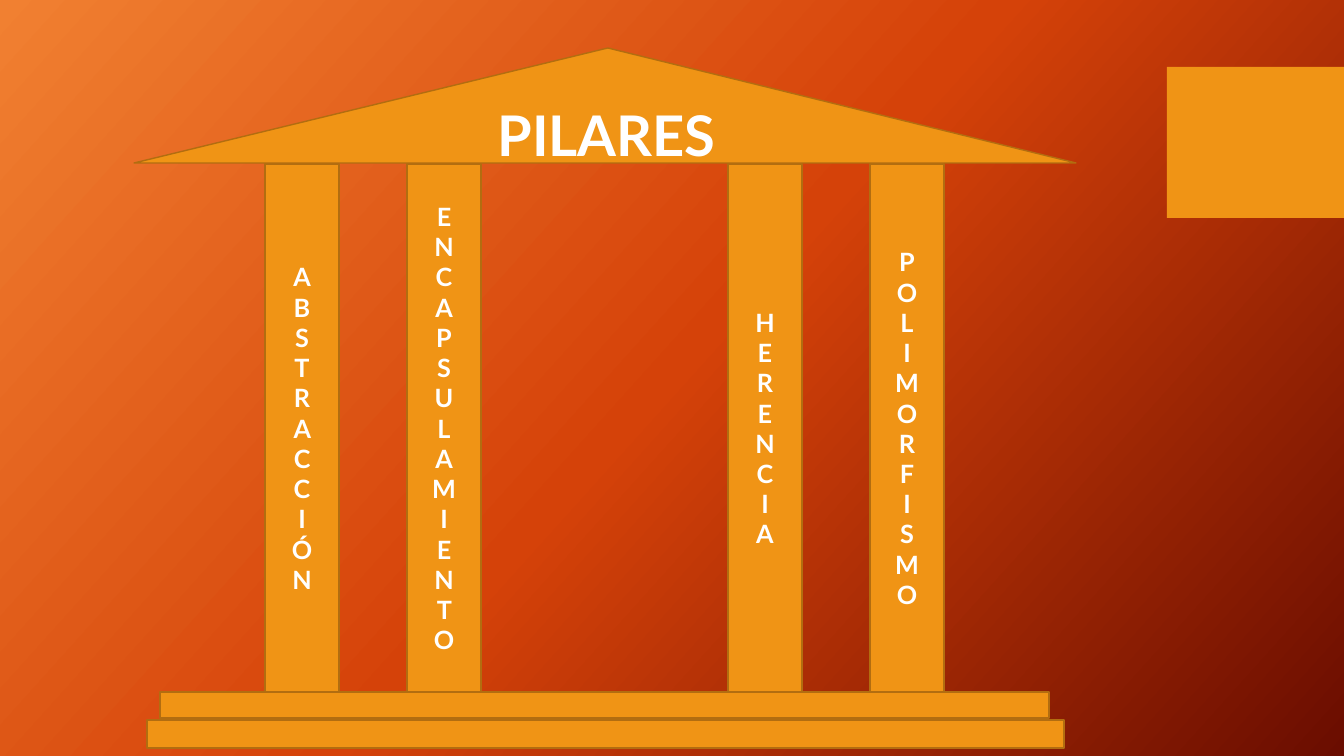
from copy import deepcopy

from pptx import Presentation
from pptx.dml.color import RGBColor
from pptx.enum.shapes import MSO_SHAPE as Preset
from pptx.enum.text import MSO_ANCHOR as Anchor, PP_ALIGN as Align
from pptx.oxml.ns import qn
from pptx.util import Emu, Pt

# Content
TITLE = "PILARES"
PILLARS = [(265, "ABSTRACCIÓN"), (407, "ENCAPSULAMIENTO"),
           (728, "HERENCIA"), (870, "POLIMORFISMO")]
STEPS = [(147, 720, 917, 28), (160, 692, 889, 26)]
ROOF = (134, 48, 942, 115)
SIDE_BLOCK = (1167, 67, 177, 151)
PILLAR_TOP, PILLAR_WIDTH, PILLAR_HEIGHT = 164, 74, 528

# Style
WIDTH, HEIGHT = 1344, 756
EMU_PER_PIXEL = 914400 / 100.8
FONT = "Lato"
ORANGE, BROWN, WHITE = "F09415", "B26D10", "FFFFFF"
GRADIENT = [(0, "F18031"), (0.5, "D54209"), (1, "6A0D00")]
GRADIENT_ANGLE = 42


def px(pixels):
    return Emu(round(pixels * EMU_PER_PIXEL))


def color(hex_code):
    return RGBColor.from_string(hex_code)


def add_block(slide, box, preset=Preset.RECTANGLE, outlined=True):
    shape = slide.shapes.add_shape(preset, *map(px, box))
    shape.shadow.inherit = False
    shape.fill.solid()
    shape.fill.fore_color.rgb = color(ORANGE)
    if outlined:
        shape.line.color.rgb = color(BROWN)
        shape.line.width = Pt(1)
    else:
        shape.line.fill.background()
    return shape


def write(shape, text, size, stacked=False):
    frame = shape.text_frame
    frame.word_wrap = True
    frame.vertical_anchor = Anchor.MIDDLE
    if stacked:
        frame._txBody.bodyPr.set("vert", "wordArtVert")
    paragraph = frame.paragraphs[0]
    paragraph.alignment = Align.CENTER
    run = paragraph.add_run()
    run.text = text
    run.font.name = FONT
    run.font.size = Pt(size)
    run.font.bold = True
    run.font.color.rgb = color(WHITE)


def paint_background(slide):
    fill = slide.background.fill
    fill.gradient()
    fill.gradient_angle = 360 - GRADIENT_ANGLE  # counter-clockwise
    stop_list = next(slide.element.iter(qn("a:gsLst")))
    while len(stop_list) < len(GRADIENT):
        stop_list.append(deepcopy(stop_list[0]))
    for stop, (position, hex_code) in zip(fill.gradient_stops, GRADIENT):
        stop.position = position
        stop.color.rgb = color(hex_code)


presentation = Presentation()
presentation.slide_width, presentation.slide_height = px(WIDTH), px(HEIGHT)
slide = presentation.slides.add_slide(presentation.slide_layouts[6])
paint_background(slide)

# Side block and temple base
add_block(slide, SIDE_BLOCK, outlined=False)
for step in STEPS:
    add_block(slide, step)

# Roof
roof = add_block(slide, ROOF, Preset.ISOSCELES_TRIANGLE)
roof.adjustments[0] = 0.503
write(roof, TITLE, 40)

# Pillars
for left, name in PILLARS:
    pillar = add_block(slide, (left, PILLAR_TOP, PILLAR_WIDTH, PILLAR_HEIGHT))
    write(pillar, name, 18, stacked=True)

presentation.save("out.pptx")
